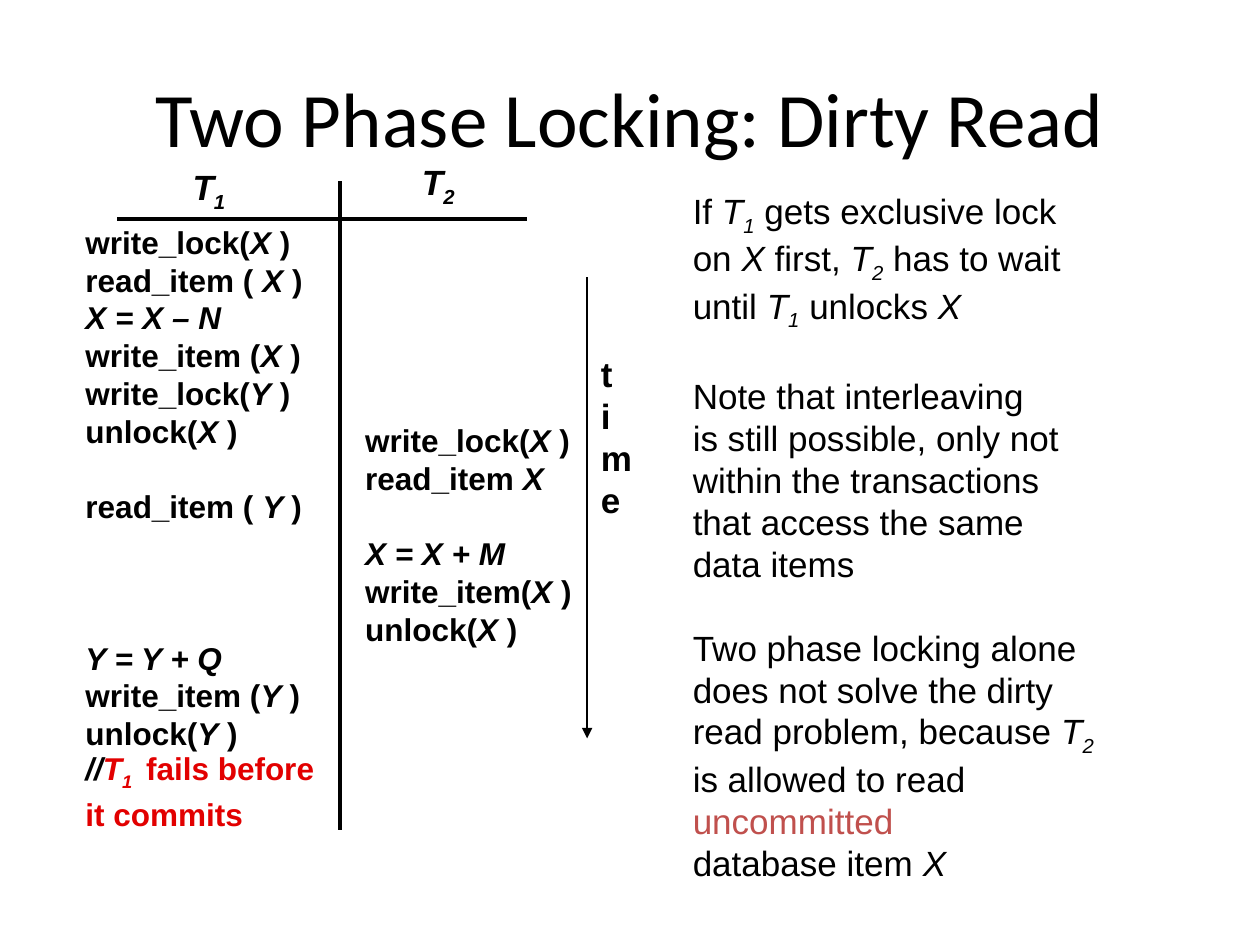
"""Build a slide on two phase locking and the dirty read problem."""
from lxml import etree
from pptx import Presentation
from pptx import util as u
from pptx.dml.color import RGBColor
from pptx.enum import shapes, text
from pptx.oxml import ns

BLACK, RED, ACCENT = "000000", "E20000", "C0504D"
SUBSCRIPT_OFFSET = "-25000"
LINE_HEIGHT = 1.2

X, Y, T = ("X", "i"), ("Y", "i"), ("T", "i")
ONE, TWO = ("1", "is"), ("2", "is")

TITLE = "Two Phase Locking: Dirty Read"

TRANSACTION_1 = [
    (0, ["write_lock(", X, " )"]),
    (0, ["read_item ( ", ("X ", "i"), ")"]),
    (0, [("X = X – N", "i")]),
    (0, ["write_item (", ("X ", "i"), ")"]),
    (0, ["write_lock(", Y, " )"]),
    (0, ["unlock(", X, " )"]),
    (1, ["read_item ( ", ("Y ", "i"), ")"]),
    (3, [("Y = Y + Q", "i")]),
    (0, ["write_item (", ("Y ", "i"), ")"]),
    (0, ["unlock(", Y, " )"]),
    (0, [("//", "i"), ("T", "i", RED), ("1 ", "is", RED),
         (" fails before it commits", "", RED)]),
]

TRANSACTION_2 = [
    (0, ["write_lock(", X, " )"]),
    (0, ["read_item ", X]),
    (1, [("X = X + M", "i")]),
    (0, ["write_item(", X, " )"]),
    (0, ["unlock(", X, " )"]),
]

NOTES = [
    (0, ["If ", T, ONE, " gets exclusive lock"]),
    (0, ["on ", X, " first, ", T, TWO, " has to wait"]),
    (0, ["until ", T, ONE, " unlocks ", X]),
    (1, ["Note that interleaving"]),
    (0, ["is still possible, only not"]),
    (0, ["within the transactions"]),
    (0, ["that access the same"]),
    (0, ["data items"]),
    (1, ["Two phase locking alone"]),
    (0, ["does not solve the dirty"]),
    (0, ["read problem, because ", T, TWO]),
    (0, ["is allowed to read ", ("uncommitted", "", ACCENT)]),
    (0, ["database item ", X]),
]

TIME_LABEL = [(0, [letter]) for letter in "time"]

TEXT_BLOCKS = [
    dict(box=(1.43, 1.27, 0.46, 0.48), paragraphs=[(0, [T, ONE])]),
    dict(box=(3.25, 1.23, 0.46, 0.48), paragraphs=[(0, [T, TWO])]),
    dict(box=(0.58, 1.72, 2.19, 4.94), paragraphs=TRANSACTION_1,
         size=18, wrap=True, subscript_room=1.4),
    dict(box=(2.8, 3.29, 1.84, 2.2), paragraphs=TRANSACTION_2, size=18),
    dict(box=(4.67, 2.75, 0.45, 1.44), paragraphs=TIME_LABEL),
    dict(box=(5.4, 1.46, 4.03, 5.29), paragraphs=NOTES, bold=False),
]

HEADER_RULE = (0.93, 1.74, 4.18, 1.74)
COLUMN_RULE = (2.7, 1.44, 2.7, 6.59)
TIME_ARROW = (4.66, 2.2, 4.66, 5.86)


def color(value):
    return RGBColor.from_string(value)


def add_run(paragraph, content, size, bold, font="Arial"):
    if isinstance(content, str):
        content = (content, "")
    words, style, shade = (*content, BLACK)[:3]
    run = paragraph.add_run()
    run.text = words
    run.font.name = font
    run.font.size = u.Pt(size)
    run.font.bold = bold
    run.font.italic = "i" in style
    run.font.color.rgb = color(shade)
    if "s" in style:
        run.font._element.set("baseline", SUBSCRIPT_OFFSET)


def has_subscript(runs):
    return any("s" in run[1] for run in runs if isinstance(run, tuple))


def add_text_block(slide, box, paragraphs, size=20, bold=True, wrap=False,
                   subscript_room=3):
    frame = slide.shapes.add_textbox(*map(u.Inches, box)).text_frame
    frame.word_wrap = wrap
    pitch = size * LINE_HEIGHT
    for index, (gap_lines, runs) in enumerate(paragraphs):
        paragraph = frame.add_paragraph() if index else frame.paragraphs[0]
        room = subscript_room if has_subscript(runs) else 0
        paragraph.line_spacing = u.Pt(pitch + room)
        if gap_lines:
            paragraph.space_before = u.Pt(gap_lines * pitch)
        for run in runs:
            add_run(paragraph, run, size, bold)


def add_title(slide):
    box = map(u.Inches, (0.5, 0.3, 9, 1.25))
    frame = slide.shapes.add_textbox(*box).text_frame
    frame.word_wrap = True
    frame.vertical_anchor = text.MSO_ANCHOR.MIDDLE
    paragraph = frame.paragraphs[0]
    paragraph.alignment = text.PP_ALIGN.CENTER
    add_run(paragraph, TITLE, 44, False, "Calibri")


def add_line(slide, ends, width, arrow=False):
    line = slide.shapes.add_connector(
        shapes.MSO_CONNECTOR.STRAIGHT, *map(u.Inches, ends))
    line.line.color.rgb = color(BLACK)
    line.line.width = u.Pt(width)
    if arrow:
        outline = line.line._get_or_add_ln()
        etree.SubElement(outline, ns.qn("a:tailEnd"), type="triangle")
    etree.SubElement(line._element.spPr, ns.qn("a:effectLst"))


def main():
    presentation = Presentation()
    presentation.slide_width = u.Inches(10)
    presentation.slide_height = u.Inches(7.5)
    slide = presentation.slides.add_slide(presentation.slide_layouts[6])
    add_title(slide)
    add_line(slide, HEADER_RULE, 2.25)
    add_line(slide, COLUMN_RULE, 2.25)
    add_line(slide, TIME_ARROW, 1, arrow=True)
    for block in TEXT_BLOCKS:
        add_text_block(slide, **block)
    presentation.save("out.pptx")


if __name__ == "__main__":
    main()
